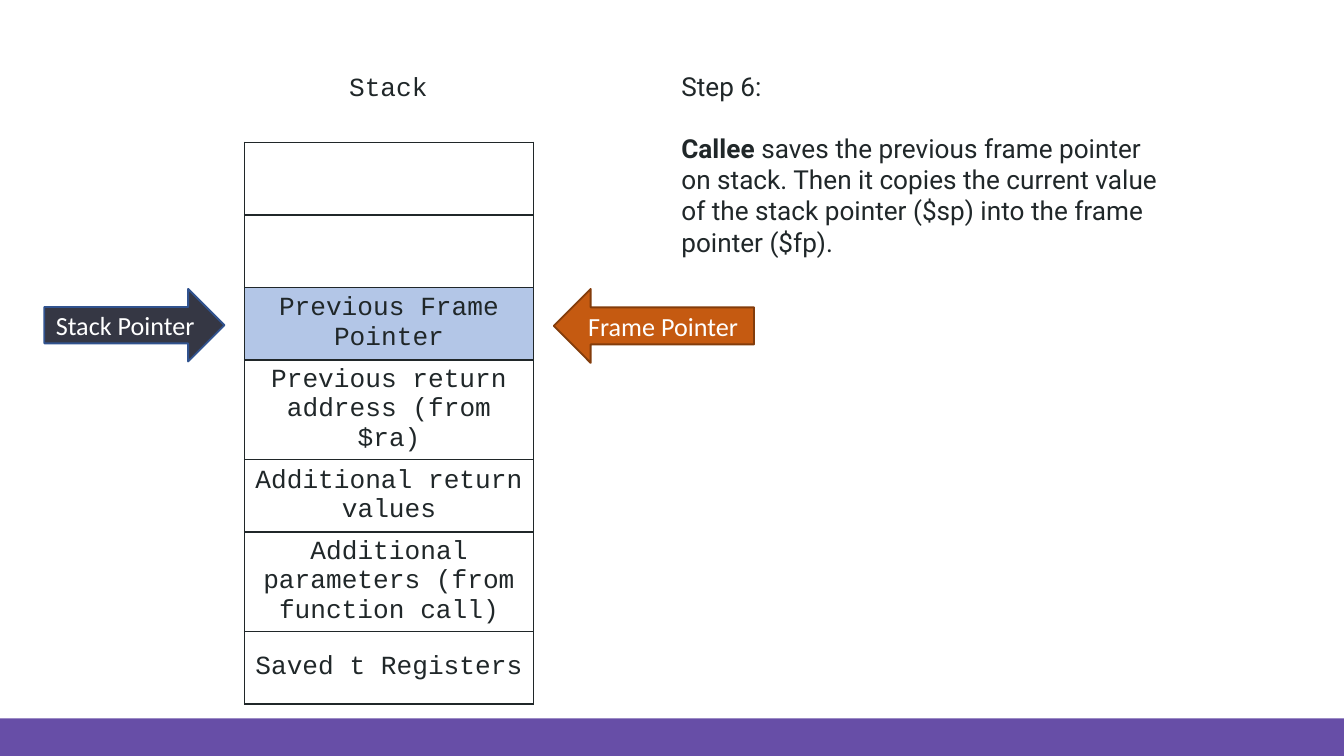
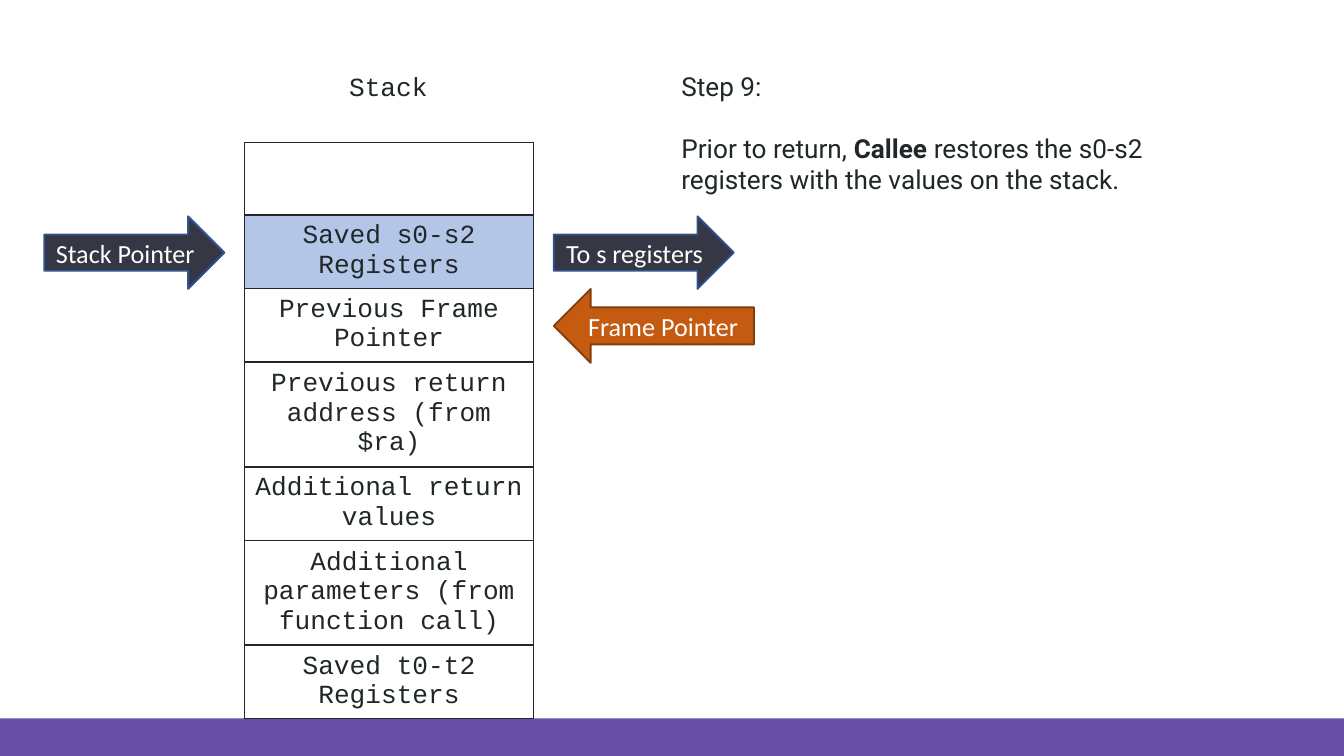
from lxml.etree import SubElement as Sub
from pptx import Presentation
from pptx.dml.color import RGBColor
from pptx.enum.shapes import MSO_SHAPE as Shape
from pptx.enum.text import MSO_ANCHOR as Anchor, MSO_AUTO_SIZE as Auto, PP_ALIGN as Align
from pptx.oxml.ns import qn
from pptx.util import Inches, Pt

WIDE, HIGH = 10, 10 * 9 / 16
BAND = 0.28
ROW, GAP, LIFT = 0.54, 0.15, 0.01
STACK = (1.82, 1.06, 2.15, 7 * ROW)
HEAD = (2.02, 0.48, 1.74, 0.31)
NOTE = (5, 0.48, 3.8)
INK, WHITE, PURPLE, TINT = "202729", "FFFFFF", "674EA7", "B3C6E7"
CODE = {"name": "Courier New", "size": Pt(14), "bold": False, "color": INK}
BODY = {**CODE, "name": "Roboto"}
LABEL = {**CODE, "name": "Calibri", "color": WHITE}
DARK = {"kind": Shape.RIGHT_ARROW, "fill": "353744", "line": "31538F", "wide": 1.34, "high": 0.54}
ORANGE = {"kind": Shape.LEFT_ARROW, "fill": "C55A11", "line": "833C0B", "wide": 1.49, "high": 0.55}

BASE = [
    "Previous Frame Pointer",
    "Previous return address (from $ra)",
    "Additional return values",
    "Additional parameters (from function call)",
]
STEPS = [
    {
        "title": "Step 6:",
        "runs": [
            ("Callee ", True),
            ("saves the previous frame pointer on stack. Then it copies the current value "
             "of the stack pointer ($sp) into the frame pointer ($fp).", False),
        ],
        "high": 1.49,
        "rows": ["", "", *BASE, "Saved t Registers"],
        "top": 2,
        "arrows": [("Frame Pointer", ORANGE, 2)],
    },
    {
        "title": "Step 9:",
        "runs": [
            ("Prior to return, ", False),
            ("Callee ", True),
            ("restores the s0-s2 registers with the values on the stack.", False),
        ],
        "high": 1.02,
        "rows": ["", "Saved s0-s2 Registers", *BASE, "Saved t0-t2 Registers"],
        "top": 1,
        "arrows": [("Frame Pointer", ORANGE, 2), ("To s registers", DARK, 1)],
    },
]


def rgb(code):
    return RGBColor.from_string(code)


def paint(item, code):
    item.fill.solid()
    item.fill.fore_color.rgb = rgb(code)


def style(font, form):
    for key, value in form.items():
        if key == "color":
            font.color.rgb = rgb(value)
        else:
            setattr(font, key, value)


def write(para, text, form, align=Align.LEFT):
    para.alignment = align
    run = para.add_run()
    run.text = text
    style(run.font, form)


def inset(frame):
    form = {"margin_left": 0.07, "margin_right": 0.07, "margin_top": 0.04, "margin_bottom": 0.04}
    for key, value in form.items():
        setattr(frame, key, Inches(value))
    frame.word_wrap = True
    return frame


def add_text(slide, box):
    frame = inset(slide.shapes.add_textbox(*map(Inches, box)).text_frame)
    frame.auto_size = Auto.SHAPE_TO_FIT_TEXT
    return frame


def add_form(slide, kind, box, fill):
    shape = slide.shapes.add_shape(kind, *map(Inches, box))
    shape.shadow.inherit = False
    paint(shape, fill)
    return shape


def add_band(slide, box):
    add_form(slide, Shape.RECTANGLE, box, PURPLE).line.fill.background()


def edge(cell):
    props = cell._tc.get_or_add_tcPr()
    for spot, side in enumerate("LRTB"):
        line = props.makeelement(qn(f"a:ln{side}"), {"w": str(Pt(1))})
        fill = Sub(line, qn("a:solidFill"))
        Sub(fill, qn("a:srgbClr"), val=INK)
        props.insert(spot, line)


def add_stack(slide, box, rows, top):
    table = slide.shapes.add_table(len(rows), 1, *map(Inches, box)).table
    table.first_row = table.horz_banding = False
    for spot, text in enumerate(rows):
        table.rows[spot].height = Inches(ROW)
        cell = table.cell(spot, 0)
        cell.vertical_anchor = Anchor.MIDDLE
        for key, value in {"left": 0.08, "right": 0.08, "top": 0.04, "bottom": 0.04}.items():
            setattr(cell, f"margin_{key}", Inches(value))
        if spot == top:
            paint(cell, TINT)
        else:
            cell.fill.background()
        edge(cell)
        if text:
            write(cell.text_frame.paragraphs[0], text, CODE, Align.CENTER)


def add_arrow(slide, box, text, look, row, before=False):
    left, top, wide, _ = box
    start = left - GAP - look["wide"] if before else left + wide + GAP
    place = (start, top + row * ROW + LIFT, look["wide"], look["high"])
    shape = add_form(slide, look["kind"], place, look["fill"])
    shape.line.color.rgb = rgb(look["line"])
    shape.line.width = Pt(1)
    frame = inset(shape.text_frame)
    frame.vertical_anchor = Anchor.MIDDLE
    write(frame.paragraphs[0], text, LABEL, Align.CENTER)


def add_note(slide, box, title, runs):
    frame = add_text(slide, box)
    write(frame.paragraphs[0], title, BODY)
    para = frame.add_paragraph()
    para.space_before = Pt(16.5)
    for text, bold in runs:
        write(para, text, {**BODY, "bold": bold})


def add_step(deck, step):
    slide = deck.slides.add_slide(deck.slide_layouts[6])
    add_band(slide, (0, HIGH - BAND, WIDE, BAND))
    add_stack(slide, STACK, step["rows"], step["top"])
    write(add_text(slide, HEAD).paragraphs[0], "Stack", CODE, Align.CENTER)
    add_note(slide, (*NOTE, step["high"]), step["title"], step["runs"])
    add_arrow(slide, STACK, "Stack Pointer", DARK, step["top"], before=True)
    for text, look, row in step["arrows"]:
        add_arrow(slide, STACK, text, look, row)


def main():
    deck = Presentation()
    deck.slide_width, deck.slide_height = Inches(WIDE), Inches(HIGH)
    for step in STEPS:
        add_step(deck, step)
    deck.save("out.pptx")


if __name__ == "__main__":
    main()
